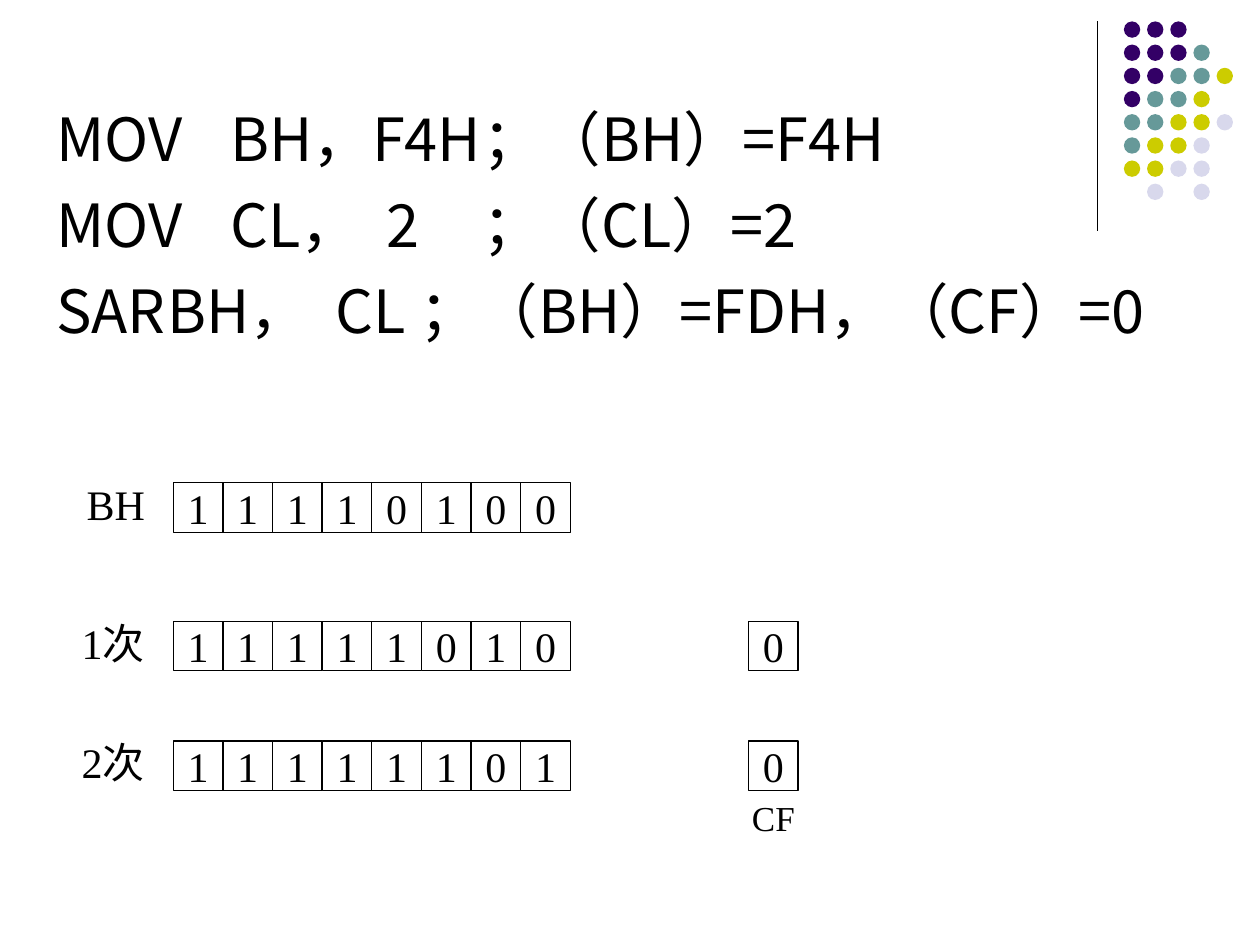
import pptx
import pptx.dml.color
import pptx.enum.shapes
import pptx.enum.text
import pptx.oxml
import pptx.oxml.ns
import pptx.util

COLORS = {"ink": "000000", "paper": "FFFFFF", "violet": "330066",
          "teal": "669999", "lime": "CCCC00", "lavender": "D8D8EC"}
SANS, SERIF = "Noto Sans CJK SC", "Times New Roman"
DOT_COLORS = {"V": "violet", "T": "teal", "L": "lime", "P": "lavender"}
DOT_ROWS = ["VVV", "VVVT", "VVTTL", "VTTL", "TTLLP", "TLLP", "LLPP", " P P"]
CODE_LINES = [["MOV\tBH，F4H\t；（BH）=F4H"],
              ["MOV\tCL，", " ", "2\t；（CL）=2"],
              ["SAR\tBH，", " ", "CL\t；（BH）=FDH，（CF）=0"]]
REGISTER_ROWS = [("BH", 5.9, 6.6, 38.3, "11110100", None),
                 ("1次", 5.5, 7.8, 49.3, "11111010", "0"),
                 ("2次", 5.5, 7.8, 58.8, "11111101", "0")]
CELL = 3.94
REGISTER_LEFT, CARRY_LEFT = 13.75, 59.4


class ShiftSlide:
    """Draws on a slide measured in a grid of 100 columns by 75 rows."""

    def __init__(self, presentation):
        self.unit = presentation.slide_width / 100
        self.slide = presentation.slides.add_slide(presentation.slide_layouts[6])

    def lengths(self, *cells):
        return [pptx.util.Emu(round(cell * self.unit)) for cell in cells]

    def color(self, name):
        return pptx.dml.color.RGBColor.from_string(COLORS[name])

    def group(self):
        return self.slide.shapes.add_group_shape().shapes

    def run(self, paragraph, text, size, font):
        run = paragraph.add_run()
        run.text = text
        run.font.size = pptx.util.Pt(size)
        run.font.name = font
        run.font.color.rgb = self.color("ink")
        east_asian = pptx.oxml.parse_xml(
            f'<a:ea {pptx.oxml.ns.nsdecls("a")} typeface="{SANS}"/>')
        run.font._element.append(east_asian)
        return run

    def divider(self, column, top, bottom):
        line = self.slide.shapes.add_connector(
            pptx.enum.shapes.MSO_CONNECTOR.STRAIGHT,
            *self.lengths(column, top, column, bottom))
        line.line.color.rgb = self.color("ink")
        line.line.width = pptx.util.Pt(0.75)
        line._element.spPr.append(pptx.oxml.parse_xml(
            f'<a:effectLst {pptx.oxml.ns.nsdecls("a")}/>'))

    def dot(self, shapes, column, row, size, color):
        dot = shapes.add_shape(pptx.enum.shapes.MSO_SHAPE.OVAL,
                               *self.lengths(column, row, size, size))
        dot.shadow.inherit = False
        dot.fill.solid()
        dot.fill.fore_color.rgb = self.color(color)
        dot.line.fill.background()

    def bit(self, shapes, column, row, value):
        cell = shapes.add_shape(pptx.enum.shapes.MSO_SHAPE.RECTANGLE,
                                *self.lengths(column, row, CELL, CELL))
        cell.shadow.inherit = False
        cell.fill.solid()
        cell.fill.fore_color.rgb = self.color("paper")
        cell.line.color.rgb = self.color("ink")
        cell.line.width = pptx.util.Pt(0.75)
        frame = cell.text_frame
        frame.word_wrap = False
        frame.vertical_anchor = pptx.enum.text.MSO_ANCHOR.MIDDLE
        paragraph = frame.paragraphs[0]
        paragraph.alignment = pptx.enum.text.PP_ALIGN.CENTER
        self.run(paragraph, value, 24, SERIF)

    def label(self, column, row, width, height, text, size):
        box = self.slide.shapes.add_textbox(*self.lengths(column, row, width, height))
        box.text_frame.word_wrap = False
        box.text_frame.auto_size = pptx.enum.text.MSO_AUTO_SIZE.SHAPE_TO_FIT_TEXT
        self.run(box.text_frame.paragraphs[0], text, size, SERIF)

    def code(self, column, row, width, height, lines):
        box = self.slide.shapes.add_textbox(*self.lengths(column, row, width, height))
        frame = box.text_frame
        frame.word_wrap = True
        for index, pieces in enumerate(lines):
            paragraph = frame.add_paragraph() if index else frame.paragraphs[0]
            paragraph.alignment = pptx.enum.text.PP_ALIGN.JUSTIFY
            if index:
                paragraph.space_before = pptx.util.Pt(8.5)
            properties = paragraph._p.get_or_add_pPr()
            indent = pptx.util.Inches(0.38)
            properties.set("marL", str(indent))
            properties.set("indent", str(-indent))
            stops = "".join(f'<a:tab pos="{pptx.util.Inches(inch)}" algn="l"/>'
                            for inch in range(8))
            properties.append(pptx.oxml.parse_xml(
                f'<a:tabLst {pptx.oxml.ns.nsdecls("a")}>{stops}</a:tabLst>'))
            for piece in pieces:
                run = self.run(paragraph, piece, 34, SANS)
                if piece == " ":
                    run.font._element.set("spc", "760")


def main():
    presentation = pptx.Presentation()
    presentation.slide_width = pptx.util.Inches(10)
    presentation.slide_height = pptx.util.Inches(7.5)
    slide = ShiftSlide(presentation)

    slide.divider(87.1, 1.7, 18.3)
    dots = slide.group()
    for row, pattern in enumerate(DOT_ROWS):
        for column, key in enumerate(pattern):
            if key in DOT_COLORS:
                slide.dot(dots, 89.2 + column * 1.84, 1.7 + row * 1.84, 1.3,
                          DOT_COLORS[key])

    slide.code(3.5, 7.6, 91.3, 26.8, CODE_LINES)

    for name, left, width, top, bits, carry in REGISTER_ROWS:
        slide.label(left, top - 0.8, width, 5, name, 24)
        register = slide.group()
        for index, value in enumerate(bits):
            slide.bit(register, REGISTER_LEFT + index * CELL, top, value)
        if carry:
            slide.bit(slide.slide.shapes, CARRY_LEFT, top, carry)
    slide.label(58.7, 62.7, 5.4, 4.4, "CF", 20)

    presentation.save("out.pptx")


if __name__ == "__main__":
    main()
